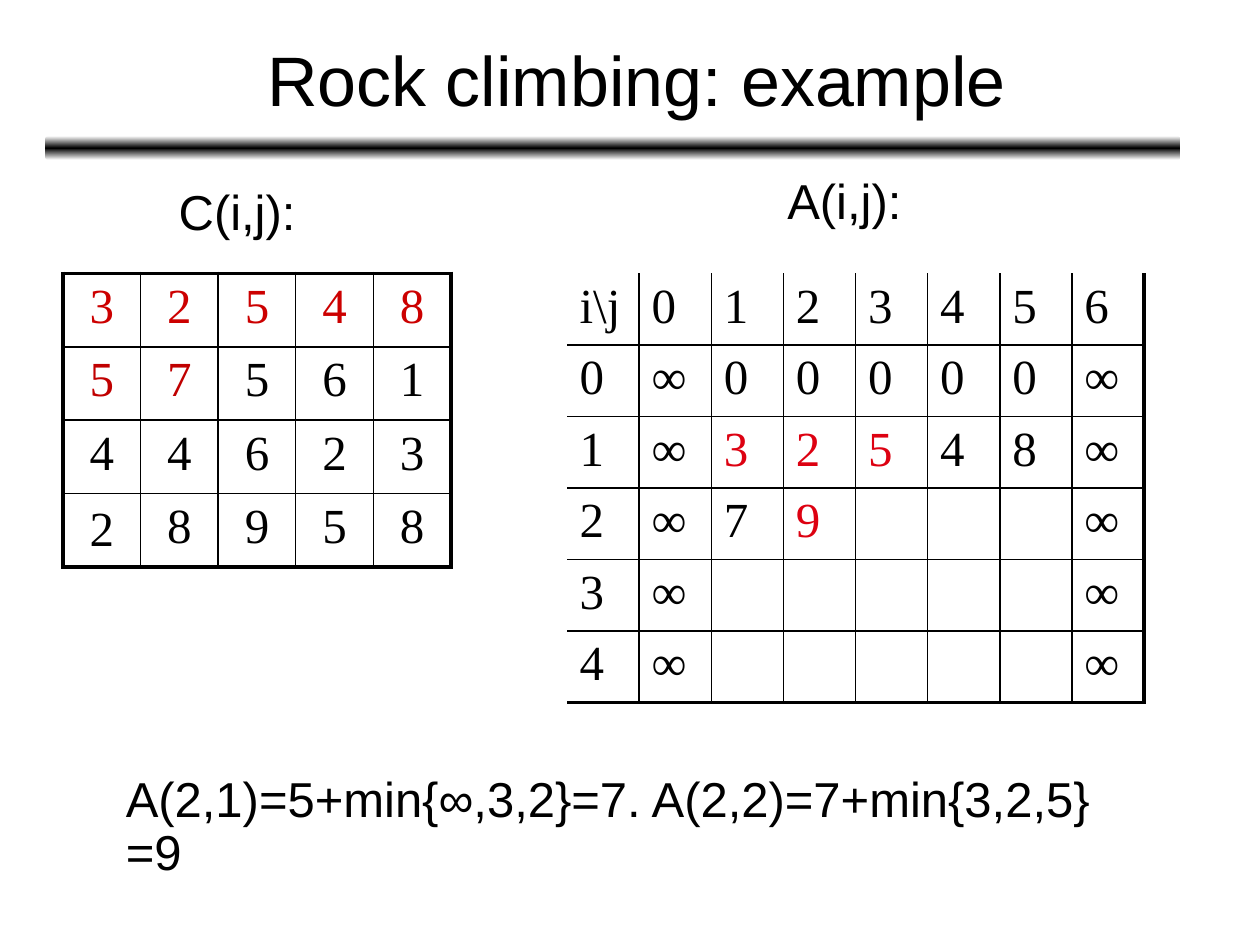
from copy import deepcopy

from lxml import etree
from pptx import Presentation
from pptx.dml.color import RGBColor
from pptx.enum.shapes import MSO_SHAPE
from pptx.enum.text import MSO_ANCHOR, MSO_AUTO_SIZE, PP_ALIGN
from pptx.oxml.ns import qn
from pptx.util import Inches, Pt

BLACK = RGBColor(0x00, 0x00, 0x00)
WHITE = RGBColor(0xFF, 0xFF, 0xFF)
COST_RED = RGBColor(0xCC, 0x00, 0x00)
COST_DARK_RED = RGBColor(0xC0, 0x00, 0x00)
ANSWER_RED = RGBColor(0xDD, 0x01, 0x11)
CENTER, LEFT = PP_ALIGN.CENTER, PP_ALIGN.LEFT
MIDDLE, TOP = MSO_ANCHOR.MIDDLE, MSO_ANCHOR.TOP
NO_AUTOFIT = MSO_AUTO_SIZE.NONE
ROUNDED = MSO_SHAPE.ROUNDED_RECTANGLE
SANS, SERIF = "Arial", "Times New Roman"
THIN, THICK = 1, 2.25

COSTS = ["3 2 5 4 8", "5 7 5 6 1", "4 4 6 2 3", "2 8 9 5 8"]
COST_COLORS = {(0, col): COST_RED for col in range(5)}
COST_COLORS.update({(1, col): COST_DARK_RED for col in range(2)})
ANSWERS = [
    "i\\j 0 1 2 3 4 5 6",
    "0 ∞ 0 0 0 0 0 ∞",
    "1 ∞ 3 2 5 4 8 ∞",
    "2 ∞ 7 9 _ _ _ ∞",
    "3 ∞ _ _ _ _ _ ∞",
    "4 ∞ _ _ _ _ _ ∞",
]
ANSWER_COLORS = dict.fromkeys([(2, 2), (2, 3), (2, 4), (3, 3)], ANSWER_RED)


def write(frame, text, font=SANS, size=28, color=BLACK, align=LEFT, spacing=None):
    """Put one formatted paragraph into a text frame."""
    paragraph = frame.paragraphs[0]
    paragraph.alignment = align
    paragraph.line_spacing = spacing
    run = paragraph.add_run()
    run.text = text
    run.font.name = font
    run.font.size = Pt(size)
    run.font.color.rgb = color


def add_heading(slide, box):
    """Place the slide title."""
    title = slide.shapes.title
    title.left, title.top, title.width, title.height = map(Inches, box)
    frame = title.text_frame
    frame.auto_size = NO_AUTOFIT
    frame.vertical_anchor = MIDDLE
    write(frame, "Rock climbing: example", size=40, align=CENTER)


def add_divider(slide, box):
    """Draw the bar that fades from black to white at both edges."""
    bar = slide.shapes.add_shape(ROUNDED, *map(Inches, box))
    bar.shadow.inherit = False
    bar.line.fill.background()
    bar.fill.gradient()
    bar.fill.gradient_angle = 90
    stop_list = bar.fill._fill._gradFill.find(qn("a:gsLst"))
    stop_list.insert(1, deepcopy(stop_list[0]))
    for stop, position, color in zip(
        bar.fill.gradient_stops, (0, 0.5, 1), (WHITE, BLACK, WHITE)
    ):
        stop.position = position
        stop.color.rgb = color


def add_text(slide, box, text, wrap=False):
    """Place a line of formula text."""
    frame = slide.shapes.add_textbox(*map(Inches, box)).text_frame
    frame.word_wrap = wrap
    write(frame, text, spacing=0.9)


def set_borders(cell, widths):
    """Set the borders of a cell by side; a zero width hides one."""
    properties = cell._tc.get_or_add_tcPr()
    for side in "LRTB":
        width = widths[side]
        line = etree.SubElement(properties, qn(f"a:ln{side}"), w=str(Pt(width)))
        if width:
            fill = etree.SubElement(line, qn("a:solidFill"))
            etree.SubElement(fill, qn("a:srgbClr"), val=str(BLACK))
        else:
            etree.SubElement(line, qn("a:noFill"))


def add_matrix(slide, box, lines, colors, align, outer):
    """Build a grid of values with its own outer border widths."""
    values = [line.split() for line in lines]
    row_count, col_count = len(values), len(values[0])
    table = slide.shapes.add_table(row_count, col_count, *map(Inches, box)).table
    table.first_row = table.horz_banding = False
    for column in table.columns:
        column.width = Inches(box[2] / col_count)
    for row in table.rows:
        row.height = Inches(box[3] / row_count)
    for r, row_values in enumerate(values):
        for c, value in enumerate(row_values):
            cell = table.cell(r, c)
            edges = {"L": c == 0, "R": c == col_count - 1,
                     "T": r == 0, "B": r == row_count - 1}
            set_borders(cell, {side: outer[side] if edge else THIN
                               for side, edge in edges.items()})
            cell.fill.background()
            if value != "_":
                write(cell.text_frame, value, font=SERIF, align=align,
                      color=colors.get((r, c), BLACK))
    return table


def add_costs(slide, box):
    """Place the cost matrix C."""
    outer = dict.fromkeys("LRTB", THICK)
    table = add_matrix(slide, box, COSTS, COST_COLORS, CENTER, outer)
    table.cell(len(COSTS) - 1, 0).vertical_anchor = MIDDLE


def add_answers(slide, box):
    """Place the answer matrix A, open at the left and the top."""
    outer = {"L": 0, "R": THICK, "T": 0, "B": THICK}
    add_matrix(slide, box, ANSWERS, ANSWER_COLORS, LEFT, outer)


def main():
    """Build and save the slide."""
    deck = Presentation()
    deck.slide_width, deck.slide_height = Inches(10), Inches(7.5)
    slide = deck.slides.add_slide(deck.slide_layouts[5])
    add_divider(slide, (0.36, 1.08, 9.01, 0.19))
    add_heading(slide, (0.8, 0, 8.5, 1.25))
    add_costs(slide, (0.5, 2.17, 3.08, 2.33))
    add_text(slide, (1.32, 1.44, 1.14, 0.52), "C(i,j):")
    add_text(slide, (6.15, 1.36, 1.16, 0.52), "A(i,j):")
    add_text(slide, (0.9, 6.1, 8.24, 0.52),
             "A(2,1)=5+min{∞,3,2}=7. A(2,2)=7+min{3,2,5}=9", wrap=True)
    add_answers(slide, (4.5, 2.17, 4.58, 3.4))
    deck.save("out.pptx")


if __name__ == "__main__":
    main()
